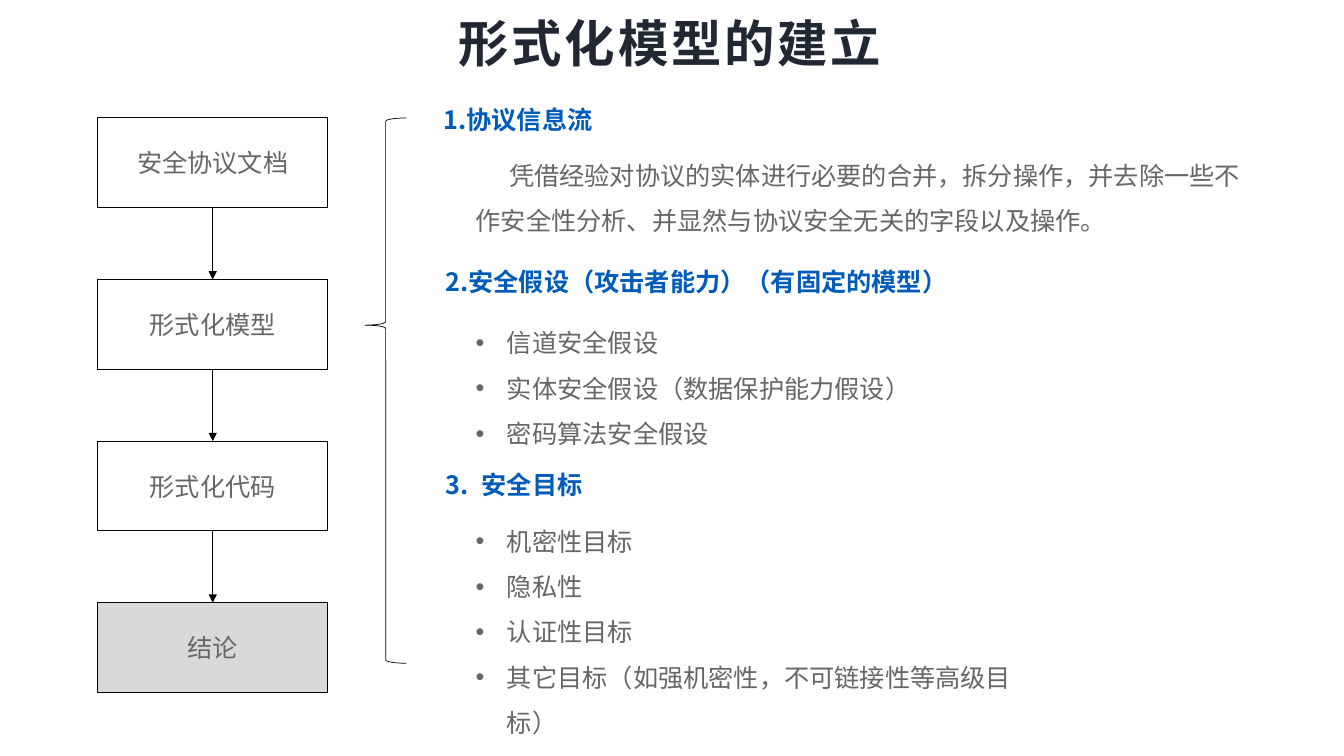
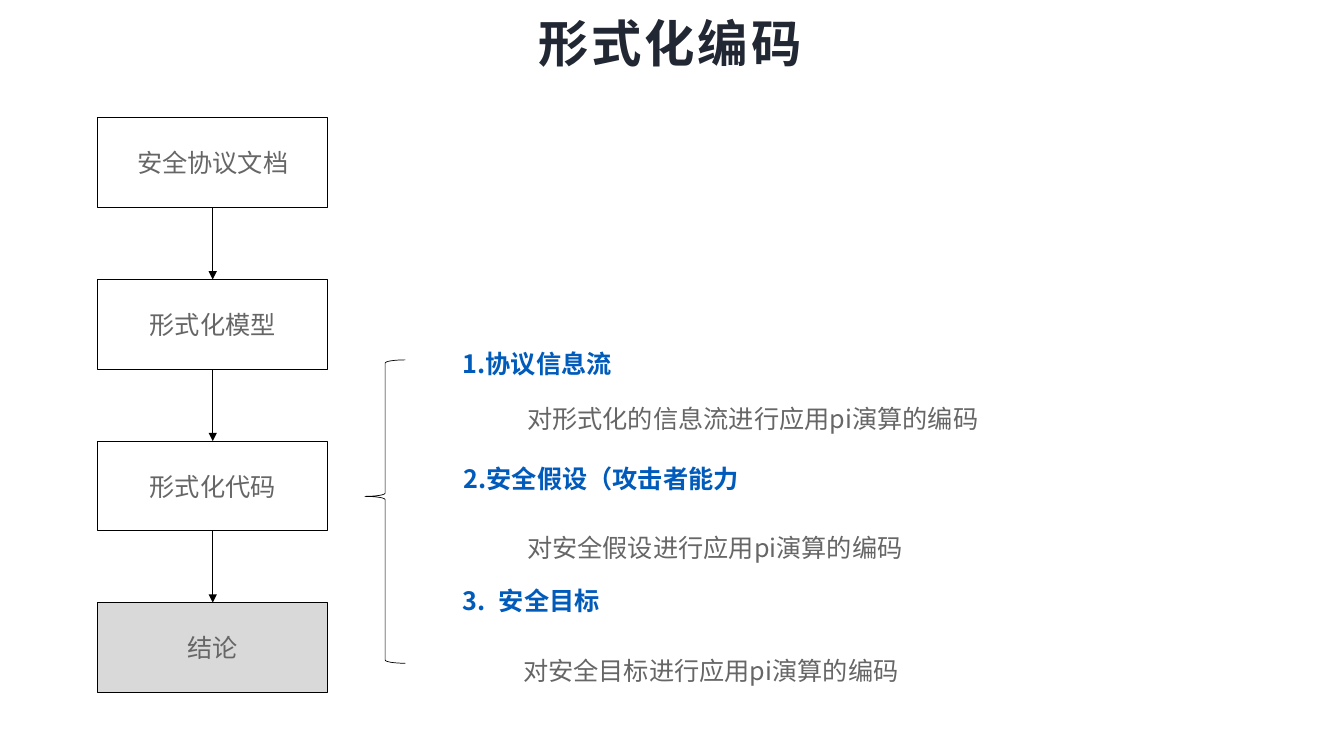
from dataclasses import dataclass

from lxml import etree
from pptx import Presentation
from pptx.dml.color import RGBColor
from pptx.enum.shapes import MSO_CONNECTOR, MSO_SHAPE
from pptx.enum.text import MSO_ANCHOR, MSO_AUTO_SIZE, PP_ALIGN
from pptx.oxml.ns import qn
from pptx.util import Inches, Pt

RECT, BRACE = MSO_SHAPE.RECTANGLE, MSO_SHAPE.LEFT_BRACE
STRAIGHT = MSO_CONNECTOR.STRAIGHT
MIDDLE, TOP = MSO_ANCHOR.MIDDLE, MSO_ANCHOR.TOP
CENTER, LEFT = PP_ALIGN.CENTER, PP_ALIGN.LEFT
NO_FIT, GROW = MSO_AUTO_SIZE.NONE, MSO_AUTO_SIZE.SHAPE_TO_FIT_TEXT
BOTTOM_SITE, TOP_SITE = 2, 0


@dataclass(frozen=True)
class Theme:
    title_color: RGBColor = RGBColor.from_string("212834")
    heading_color: RGBColor = RGBColor.from_string("005BBB")
    body_color: RGBColor = RGBColor.from_string("666666")
    line_color: RGBColor = RGBColor.from_string("000000")
    step_fill: RGBColor = RGBColor.from_string("FFFFFF")
    result_fill: RGBColor = RGBColor.from_string("D9D9D9")
    title_font: str = "Cabin"
    heading_font: str = "Calibri"
    body_font: str = "Noto Sans CJK SC"
    title_size: int = 36
    text_size: int = 18
    box_line: float = 0.75
    thin_line: float = 0.5


THEME = Theme()
CELL = Inches(0.1)  # square grid, about 133 columns by 75 rows


def grid(*cells):
    """Turn grid columns and rows into lengths."""
    return [round(cell * CELL) for cell in cells]


def write(frame, text, *, size=THEME.text_size, font=THEME.body_font,
          color=THEME.body_color, bold=False, tracking=0, align=LEFT,
          anchor=TOP, fit=GROW, spacing=None, after=0, left=0, first=0,
          bullet=None, number=None, marker_font=None):
    """Fill a text frame, one paragraph for each line of text."""
    frame.word_wrap, frame.auto_size, frame.vertical_anchor = True, fit, anchor
    for index, line in enumerate(text.split("\n")):
        paragraph = frame.paragraphs[0] if index == 0 else frame.add_paragraph()
        props = paragraph._p.get_or_add_pPr()
        props.set("marL", str(grid(left)[0]))
        props.set("indent", str(grid(first)[0]))
        if marker_font:
            etree.SubElement(props, qn("a:buFont"), typeface=marker_font)
        if bullet:
            etree.SubElement(props, qn("a:buChar"), char=bullet)
        elif number:
            etree.SubElement(props, qn("a:buAutoNum"), type="arabicPeriod",
                             startAt=str(number))
        paragraph.alignment = align
        paragraph.space_after = Pt(after)
        if spacing:
            paragraph.line_spacing = spacing
        run = paragraph.add_run()
        run.text = line
        run.font.size, run.font.bold = Pt(size), bold
        run.font.color.rgb = color
        run.font.name = font
        run_props = run._r.get_or_add_rPr()
        etree.SubElement(run_props, qn("a:ea"), typeface=THEME.body_font)
        if tracking:
            run_props.set("spc", str(tracking * 100))


# Content: headings are (text, place), bodies are (text, bullet, place)
STEPS = ["安全协议文档", "形式化模型", "形式化代码", "结论"]
PAGES = [
    {
        "title": "形式化模型的建立",
        "brace": (36.2, 11.7, 4.1, 54.1), "brace_tip": 0.38,
        "headings": [
            ("协议信息流", (43, 8.4, 42, 11.5)),
            ("安全假设（攻击者能力）（有固定的模型）", (43.2, 24.4, 69, 5)),
            ("安全目标", (43.2, 44.6, 42, 5)),
        ],
        "bodies": [
            ("凭借经验对协议的实体进行必要的合并，拆分操作，并去除一些不作安全性分析、"
             "并显然与协议安全无关的字段以及操作。", None, (46.2, 13.9, 78.5, 9.5)),
            ("信道安全假设\n实体安全假设（数据保护能力假设）\n密码算法安全假设",
             "•", (46.2, 30.5, 49.2, 14.1)),
            ("机密性目标\n隐私性\n认证性目标\n其它目标（如强机密性，不可链接性等高级目标）",
             "•", (46.2, 50.2, 58.2, 18.6)),
        ],
    },
    {
        "title": "形式化编码",
        "brace": (36.2, 35.7, 4, 30.1), "brace_tip": 0.45,
        "headings": [
            ("协议信息流", (44.9, 32.6, 42, 11.5)),
            ("安全假设（攻击者能力", (45, 44, 69, 5)),
            ("安全目标", (44.9, 56.1, 42, 5)),
        ],
        "bodies": [
            ("对形式化的信息流进行应用pi演算的编码", None, (48, 38, 78.5, 5)),
            ("对安全假设进行应用pi演算的编码", None, (48, 50.8, 49.2, 5)),
            ("对安全目标进行应用pi演算的编码", None, (47.6, 63, 58.2, 5)),
        ],
    },
]

deck = Presentation()
deck.slide_width, deck.slide_height = Inches(13.33), Inches(7.5)
title_only = deck.slide_layouts[5]

for page in PAGES:
    slide = deck.slides.add_slide(title_only)
    shapes = slide.shapes

    # Title
    title = shapes.title
    title.left, title.top, title.width, title.height = grid(2.7, 1, 127.5, 6.5)
    write(title.text_frame, page["title"], size=THEME.title_size,
          font=THEME.title_font, color=THEME.title_color, bold=True,
          tracking=2, align=CENTER, anchor=MIDDLE, fit=NO_FIT)

    # Flow of steps, the last one shaded
    flow = []
    for row, step_name in enumerate(STEPS):
        step = shapes.add_shape(RECT, *grid(9.7, 11.7 + 16.03 * row, 22.8, 8.9))
        step.shadow.inherit = False
        step.fill.solid()
        step.fill.fore_color.rgb = (
            THEME.result_fill if step_name == STEPS[-1] else THEME.step_fill)
        step.line.color.rgb = THEME.line_color
        step.line.width = Pt(THEME.box_line)
        write(step.text_frame, step_name, align=CENTER, anchor=MIDDLE, fit=NO_FIT)
        flow.append(step)

    # Arrows between the steps
    for upper, lower in zip(flow, flow[1:]):
        arrow = shapes.add_connector(STRAIGHT, 0, 0, 0, 0)
        arrow.begin_connect(upper, BOTTOM_SITE)
        arrow.end_connect(lower, TOP_SITE)
        arrow.line.color.rgb = THEME.line_color
        arrow.line.width = Pt(THEME.thin_line)
        etree.SubElement(arrow.line._get_or_add_ln(), qn("a:tailEnd"), type="triangle")
        etree.SubElement(arrow._element.spPr, qn("a:effectLst"))

    # Brace pointing at the current step
    brace = shapes.add_shape(BRACE, *grid(*page["brace"]))
    brace.shadow.inherit = False
    brace.fill.background()
    brace.line.color.rgb = THEME.line_color
    brace.line.width = Pt(THEME.thin_line)
    brace.adjustments[0] = 0.08
    brace.adjustments[1] = page["brace_tip"]

    # Numbered headings; the last has a wider gap after its number
    for number, (text, place) in enumerate(page["headings"], start=1):
        last = number == len(page["headings"])
        heading = shapes.add_textbox(*grid(*place))
        write(heading.text_frame, text, font=THEME.heading_font,
              color=THEME.heading_color, bold=True, spacing=1.5, after=6,
              number=number, left=3.6 if last else 0,
              first=-3.6 if last else -3.8,
              marker_font=THEME.heading_font if last else None)

    # Explanations: bulleted lists or indented prose
    for text, bullet, place in page["bodies"]:
        body = shapes.add_textbox(*grid(*place))
        write(body.text_frame, text, spacing=1.5, bullet=bullet,
              left=3.1 if bullet else 0, first=-3.1 if bullet else 3.3,
              marker_font="Arial" if bullet else None)

deck.save("out.pptx")
